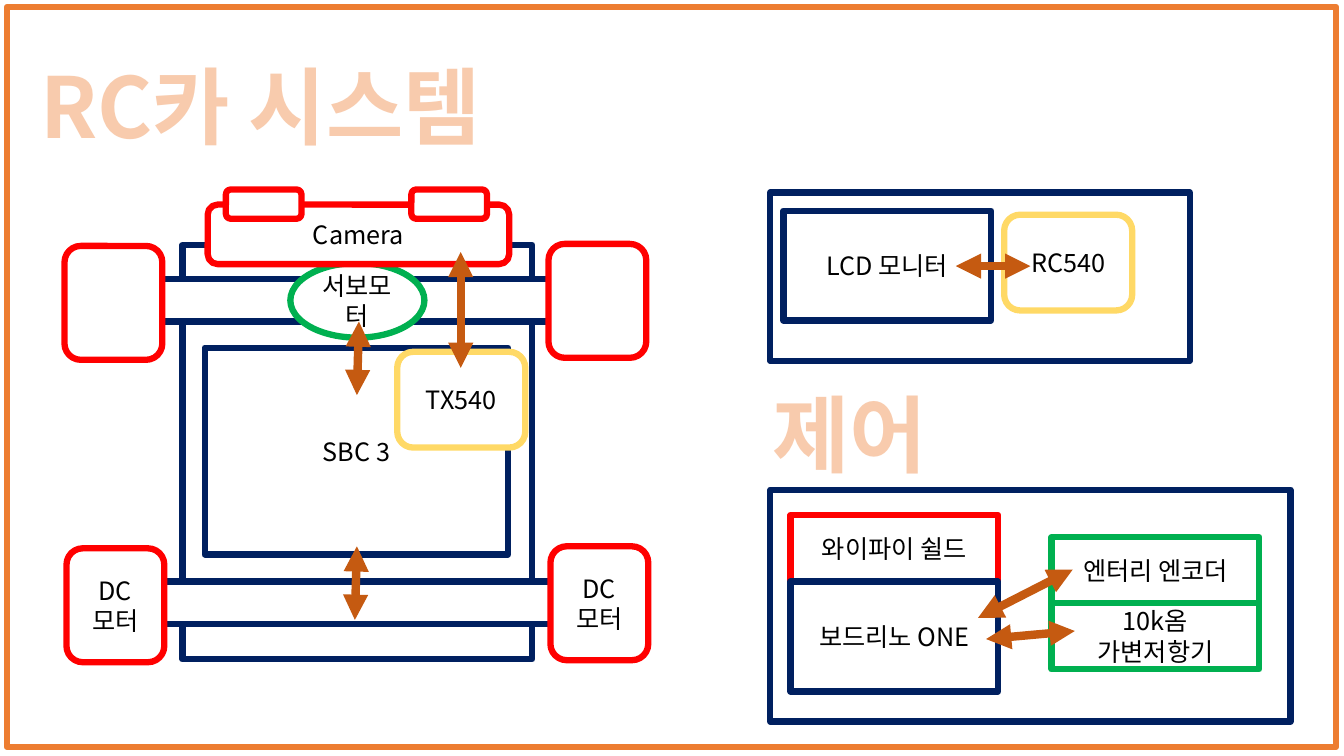
from dataclasses import dataclass

from lxml.etree import SubElement
from pptx import Presentation
from pptx.dml.color import RGBColor
from pptx.enum.shapes import MSO_CONNECTOR as Connector, MSO_SHAPE as Shape
from pptx.enum.text import MSO_ANCHOR as Anchor, PP_ALIGN as Align
from pptx.oxml import parse_xml
from pptx.oxml.ns import nsdecls, qn
from pptx.util import Inches, Pt


@dataclass(frozen=True)
class Theme:
    font: str = "Noto Sans CJK KR"
    heading_size: float = 60
    label_size: float = 18
    frame_width: float = 4.75
    block_width: float = 4.5
    arrow_width: float = 6
    heading_outline_width: float = 1.75
    white: str = "FFFFFF"
    black: str = "000000"
    orange: str = "ED7D31"
    peach: str = "F8CBAD"
    navy: str = "002060"
    red: str = "FF0000"
    green: str = "00B050"
    yellow: str = "FFD966"
    rust: str = "C55A11"


THEME = Theme()
WHEEL = (0.97, 1.13)
RADIO = (1.27, 0.95)
BOARD = (2.06, 1.09)
MODULE = (2.06, 0.66)


def add_run(paragraph, text, size, color, bold=False):
    run = paragraph.add_run()
    run.text = text
    run.font.size = Pt(size)
    run.font.bold = bold
    run.font.color.rgb = RGBColor.from_string(color)
    run.font.name = THEME.font
    properties = run.font._element
    SubElement(properties, qn("a:ea")).set("typeface", THEME.font)
    return properties


def add_block(shapes, origin, offset, size, color, text="", kind=Shape.RECTANGLE):
    left, top = origin[0] + offset[0], origin[1] + offset[1]
    block = shapes.add_shape(kind, Inches(left), Inches(top), *map(Inches, size))
    block.shadow.inherit = False
    block.fill.solid()
    block.fill.fore_color.rgb = RGBColor.from_string(THEME.white)
    block.line.color.rgb = RGBColor.from_string(color)
    block.line.width = Pt(THEME.block_width)
    if text:
        frame = block.text_frame
        frame.word_wrap = True
        frame.vertical_anchor = Anchor.MIDDLE
        paragraph = frame.paragraphs[0]
        paragraph.alignment = Align.CENTER
        for index, line in enumerate(text.split("\n")):
            if index:
                paragraph.add_line_break()
            add_run(paragraph, line, THEME.label_size, THEME.black)
    return block


def add_arrow(shapes, origin, start, end):
    points = [Inches(origin[axis] + point[axis]) for point in (start, end) for axis in (0, 1)]
    arrow = shapes.add_connector(Connector.STRAIGHT, *points)
    arrow.line.color.rgb = RGBColor.from_string(THEME.rust)
    arrow.line.width = Pt(THEME.arrow_width)
    line = arrow.line._get_or_add_ln()
    for end_tag in ("a:headEnd", "a:tailEnd"):
        SubElement(line, qn(end_tag)).set("type", "triangle")
    SubElement(arrow._element.spPr, qn("a:effectLst"))


def add_heading(slide, left, top, width, height, text):
    box = slide.shapes.add_textbox(*map(Inches, (left, top, width, height)))
    box.text_frame.word_wrap = True
    paragraph = box.text_frame.paragraphs[0]
    properties = add_run(paragraph, text, THEME.heading_size, THEME.peach, bold=True)
    outline = parse_xml(
        f'<a:ln {nsdecls("a")} w="{Pt(THEME.heading_outline_width)}"><a:solidFill>'
        f'<a:srgbClr val="{THEME.orange}"/></a:solidFill></a:ln>'
    )
    properties.insert(0, outline)


def add_border(slide, left, top, width, height):
    border = add_block(slide.shapes, (left, top), (0, 0), (width, height), THEME.orange)
    border.fill.background()
    border.line.width = Pt(THEME.frame_width)


def add_car(slide, left, top):
    origin = (left, top)
    car = slide.shapes.add_group_shape().shapes
    add_block(car, origin, (1.17, 0.55), (3.47, 4.11), THEME.navy)
    for shift, drop, label in ((0, 0, ""), (0.02, 3, "DC\n모터")):
        add_block(car, origin, (0.02 + shift, 0.89 + drop), (5.17, 0.42), THEME.navy)
        for x, y in ((0, 0.56), (4.8, 0.54)):
            add_block(car, origin, (x + shift, y + drop), WHEEL, THEME.red, label,
                      Shape.ROUNDED_RECTANGLE)
    add_block(car, origin, (2.24, 0.73), (1.33, 0.74), THEME.green, "서보모터", Shape.OVAL)
    add_block(car, origin, (1.42, 0.15), (2.99, 0.59), THEME.red, "Camera",
              Shape.ROUNDED_RECTANGLE)
    for x in (1.6, 3.44):
        add_block(car, origin, (x, 0), (0.75, 0.29), THEME.red, kind=Shape.ROUNDED_RECTANGLE)
    add_block(car, origin, (1.39, 1.57), (3.01, 2.05), THEME.navy, "SBC 3")
    add_arrow(car, origin, (2.92, 1.31), (2.9, 2.04))
    add_arrow(car, origin, (2.9, 3.54), (2.88, 4.27))
    add_block(slide.shapes, origin, (3.3, 1.61), RADIO, THEME.yellow, "TX540",
              Shape.ROUNDED_RECTANGLE)
    add_arrow(slide.shapes, origin, (3.93, 0.62), (3.93, 1.77))


def add_monitor(slide, left, top, width, height):
    origin = (left, top)
    monitor = slide.shapes.add_group_shape().shapes
    add_block(monitor, origin, (0, 0), (width, height), THEME.navy)
    add_block(monitor, origin, (2.32, 0.22), RADIO, THEME.yellow, "RC540",
              Shape.ROUNDED_RECTANGLE)
    add_block(monitor, origin, (0.13, 0.18), BOARD, THEME.navy, "LCD 모니터")
    add_arrow(slide.shapes, origin, (2.58, 0.73), (1.84, 0.73))


def add_controller(slide, left, top, width, height):
    origin = (left, top)
    controller = slide.shapes.add_group_shape().shapes
    add_block(controller, origin, (0, 0), (width, height), THEME.navy)
    add_block(controller, origin, (0.2, 0.25), MODULE, THEME.red, "와이파이 쉴드")
    add_block(controller, origin, (0.2, 0.91), BOARD, THEME.navy, "보드리노 ONE")
    add_block(controller, origin, (2.79, 0.47), MODULE, THEME.green, "엔터리 엔코더")
    add_block(controller, origin, (2.79, 1.12), MODULE, THEME.green, "10k옴\n가변저항기")
    add_arrow(controller, origin, (3, 0.79), (2.06, 1.27))
    add_arrow(controller, origin, (3.02, 1.4), (2.14, 1.48))


def main():
    presentation = Presentation()
    presentation.slide_width = Inches(13.33)
    presentation.slide_height = Inches(7.5)
    slide = presentation.slides.add_slide(presentation.slide_layouts[6])
    add_border(slide, 0.07, 0.07, 13.18, 7.34)
    add_heading(slide, 0.3, 0.49, 5.53, 1.11, "RC카 시스템")
    add_car(slide, 0.64, 1.88)
    add_monitor(slide, 7.64, 1.91, 4.16, 1.67)
    add_controller(slide, 7.64, 4.86, 5.16, 2.3)
    add_heading(slide, 7.56, 3.75, 1.93, 1.11, "제어")
    presentation.save("out.pptx")


if __name__ == "__main__":
    main()
